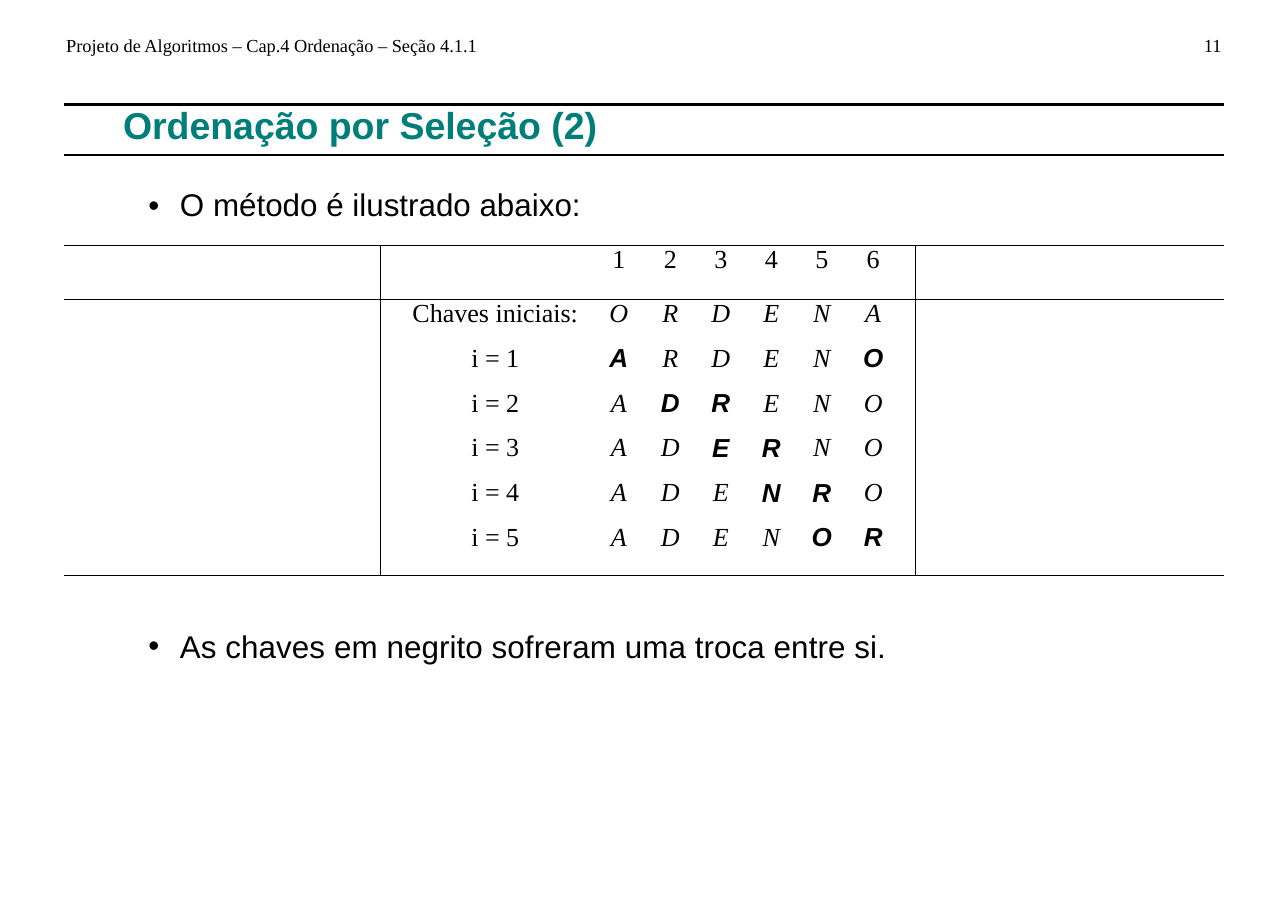
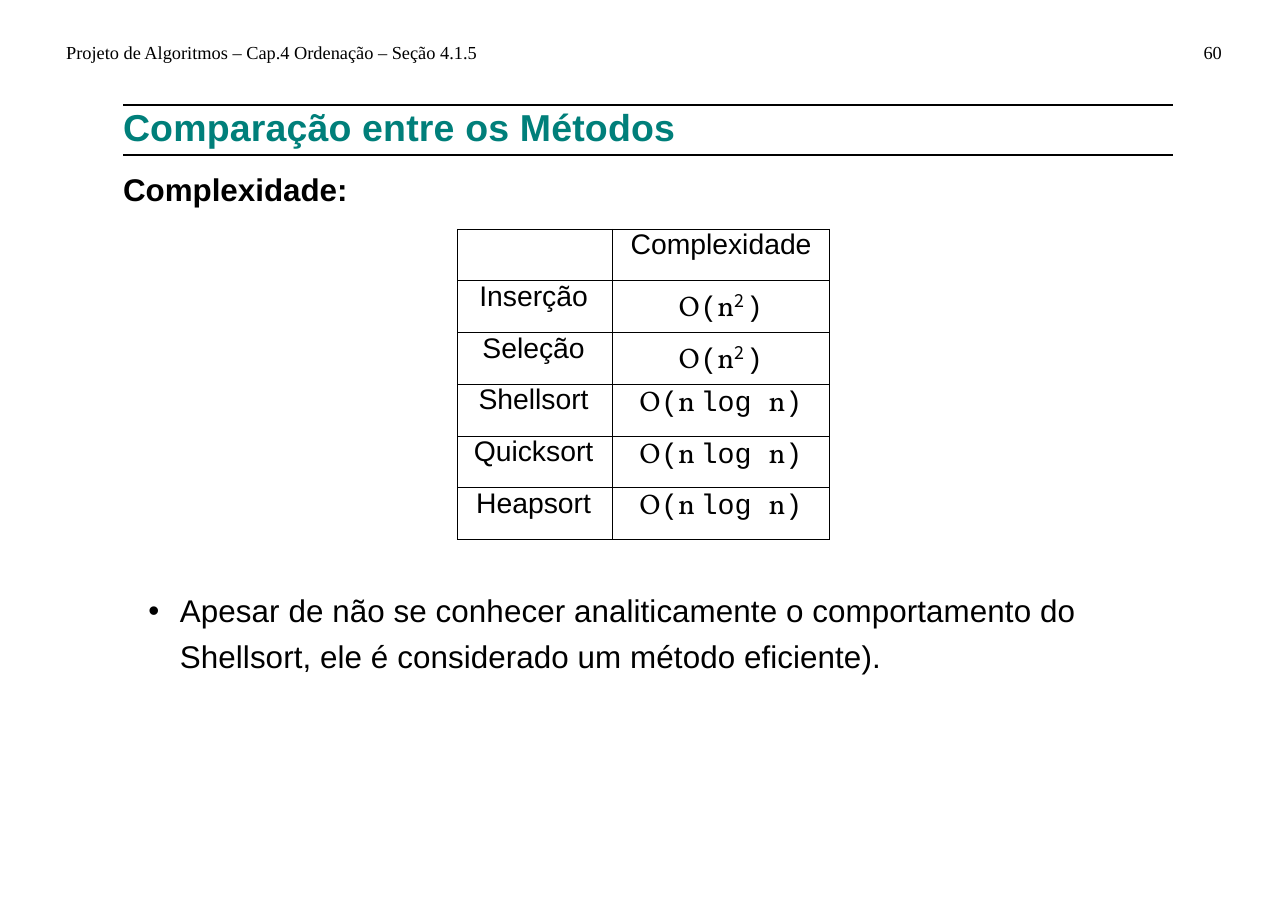
"""Builds two lecture slides on sorting: a selection sort trace and a complexity table."""
from dataclasses import dataclass, replace

from lxml import etree
from pptx import Presentation
from pptx.dml.color import RGBColor
from pptx.enum import shapes, text
from pptx.oxml import ns
from pptx.util import Pt

CENTER = text.PP_ALIGN.CENTER
LEFT = text.PP_ALIGN.LEFT
RIGHT = text.PP_ALIGN.RIGHT


@dataclass(frozen=True)
class Style:
    """Character format of one run."""

    font: str
    size: float
    color: str = "000000"
    bold: bool = False
    italic: bool = False
    baseline: int = 0
    tracking: float = 0


class Theme:
    """Colours, type styles and measures that the slides share."""

    width, height = 841.68, 594.72
    line_color = "000000"
    thick, thin = 1.73, 0.69
    table_left = 41.8
    title_left, title_right = 80.4, 766.5
    rule_tops = (68.6, 101.2)
    bullet_left, bullet_indent = 97, 20.6
    header = Style("Times New Roman", 12)
    title = Style("Arial", 24.5, "007F7A", bold=True)
    spaced_title = replace(title, tracking=0.15)
    body = Style("Arial", 20.5)
    spaced_body = replace(body, tracking=0.06)
    subtitle = replace(body, bold=True)
    label = Style("Times New Roman", 17)
    key = replace(label, italic=True)
    swapped_key = Style("Arial", 17, bold=True, italic=True)
    cell = Style("Arial", 18.5)
    order = Style("Vollkorn", 18.5, tracking=0.5)
    symbol = Style("Vollkorn", 18.5)
    code = Style("Courier New", 18.5)
    exponent = Style("Noto Sans CJK TC", 20.2, baseline=29000, tracking=1.3)


def header_text(section):
    """Return the running header for a section."""
    return f"Projeto de Algoritmos – Cap.4 Ordenação – Seção {section}"


def format_run(run, style):
    """Apply a style to a run."""
    font = run.font
    font.name, font.size = style.font, Pt(style.size)
    font.bold, font.italic = style.bold, style.italic
    font.color.rgb = RGBColor.from_string(style.color)
    properties = run._r.get_or_add_rPr()
    if style.baseline:
        properties.set("baseline", str(style.baseline))
    if style.tracking:
        properties.set("spc", str(round(style.tracking * 100)))


def write(paragraph, parts, align=LEFT):
    """Fill a paragraph with (text, style) parts."""
    paragraph.alignment = align
    for content, style in parts:
        run = paragraph.add_run()
        run.text = content
        format_run(run, style)


def add_text(slide, left, top, width, content, style, align=LEFT):
    """Add a one-paragraph text box without insets and return its paragraph."""
    box = slide.shapes.add_textbox(Pt(left), Pt(top), Pt(width), Pt(style.size * 1.15))
    frame = box.text_frame
    frame.word_wrap = True
    frame.margin_left = frame.margin_right = frame.margin_top = frame.margin_bottom = 0
    write(frame.paragraphs[0], [(content, style)], align)
    return frame.paragraphs[0]


def make_bullet(paragraph, line_spacing=1.0):
    """Give a paragraph a bullet with a hanging indent."""
    paragraph.line_spacing = line_spacing
    properties = paragraph._p.get_or_add_pPr()
    properties.set("marL", str(Pt(Theme.bullet_indent)))
    properties.set("indent", str(-Pt(Theme.bullet_indent)))
    etree.SubElement(properties, ns.qn("a:buFont")).set("typeface", "Arial")
    etree.SubElement(properties, ns.qn("a:buChar")).set("char", "•")


def add_bullet(slide, top, content, line_spacing=1.0):
    """Add a text box with one bulleted paragraph."""
    paragraph = add_text(slide, Theme.bullet_left, top, 630, content, Theme.spaced_body)
    make_bullet(paragraph, line_spacing)


def add_line(slide, start, end, width):
    """Add a straight line between two points."""
    line = slide.shapes.add_connector(
        shapes.MSO_CONNECTOR.STRAIGHT, *(Pt(value) for value in (*start, *end)))
    line.line.color.rgb = RGBColor.from_string(Theme.line_color)
    line.line.width = Pt(width)
    etree.SubElement(line._element.spPr, ns.qn("a:effectLst"))


def set_border(cell, side, width):
    """Draw one side (L, R, T or B) of a cell, or clear it when width is None."""
    line = etree.SubElement(cell._tc.get_or_add_tcPr(), ns.qn(f"a:ln{side}"))
    if width is None:
        etree.SubElement(line, ns.qn("a:noFill"))
    else:
        line.set("w", str(Pt(width)))
        fill = etree.SubElement(line, ns.qn("a:solidFill"))
        etree.SubElement(fill, ns.qn("a:srgbClr")).set("val", Theme.line_color)


def add_table(slide, left, top, widths, heights, rows, vertical_lines, horizontal_lines):
    """Add a centred table of part lists, with line widths keyed by grid line."""
    frame = slide.shapes.add_table(
        len(heights), len(widths), Pt(left), Pt(top), Pt(sum(widths)), Pt(sum(heights)))
    table = frame.table
    table.first_row = table.horz_banding = False
    for column, width in zip(table.columns, widths):
        column.width = Pt(width)
    for row, height in zip(table.rows, heights):
        row.height = Pt(height)
    for y, row in enumerate(rows):
        for x, parts in enumerate(row):
            cell = table.cell(y, x)
            cell.margin_left = cell.margin_right = cell.margin_top = cell.margin_bottom = 0
            set_border(cell, "L", vertical_lines.get(x))
            set_border(cell, "R", vertical_lines.get(x + 1))
            set_border(cell, "T", horizontal_lines.get(y))
            set_border(cell, "B", horizontal_lines.get(y + 1))
            cell.fill.background()
            write(cell.text_frame.paragraphs[0], parts, CENTER)
    return table


def trace_row(label, keys, swapped=()):
    """Return the cells of one sorting step, with swapped positions in bold."""
    cells = [[(key, Theme.swapped_key if position in swapped else Theme.key)]
             for position, key in enumerate(keys, 1)]
    return [[(label, Theme.label)], *cells]


def add_trace_slide(presentation):
    """Add the slide that traces selection sort in one full-width table."""
    slide = presentation.slides.add_slide(presentation.slide_layouts[6])
    gaps = [[]] * 5
    rows = [
        [[(header_text("4.1.1"), Theme.header)], *gaps, [("11", Theme.header)]],
        [[("Ordenação por Seleção (2)", Theme.title)], *gaps, []],
        [[("O método é ilustrado abaixo:", Theme.body)], *gaps, []],
        [[]] + [[(str(position), Theme.label)] for position in range(1, 7)],
        trace_row("Chaves iniciais:", "ORDENA"),
        trace_row("i = 1", "ARDENO", (1, 6)),
        trace_row("i = 2", "ADRENO", (2, 3)),
        trace_row("i = 3", "ADERNO", (3, 4)),
        trace_row("i = 4", "ADENRO", (4, 5)),
        trace_row("i = 5", "ADENOR", (5, 6)),
    ]
    top = 23.8
    widths = [355, 24.8] + [33] * 4 + [246.1]
    heights = [44.5, 32.9, 59.2, 35.2] + [29.3] * 5 + [34]
    lines = {1: Theme.thick, 2: Theme.thick, 3: Theme.thin, 4: Theme.thin, 10: Theme.thin}
    table = add_table(slide, Theme.table_left, top, widths, heights, rows, {}, lines)

    header, title, bullet = (table.cell(y, 0) for y in range(3))
    for cell, indent in ((header, 1.4), (title, Theme.title_left - Theme.table_left),
                         (bullet, Theme.bullet_left - Theme.table_left)):
        cell.margin_left = Pt(indent)
        cell.text_frame.paragraphs[0].alignment = LEFT
    title.text_frame.paragraphs[0].line_spacing = Pt(27.9)
    bullet.margin_top = Pt(22)
    make_bullet(bullet.text_frame.paragraphs[0])
    number = table.cell(0, 6)
    number.margin_right = Pt(1.4)
    number.text_frame.paragraphs[0].alignment = RIGHT

    for y in range(3, len(rows)):
        table.cell(y, 0).margin_left = Pt(208.8)
        table.cell(y, 1).margin_right = Pt(9.6)
        table.cell(y, 6).margin_right = Pt(212)
    grid_top, grid_bottom = top + sum(heights[:3]), top + sum(heights)
    for x in (248.9, 598.3):
        add_line(slide, (x, grid_bottom), (x, grid_top), Theme.thin)
    add_bullet(slide, 409.7, "As chaves em negrito sofreram uma troca entre si.")


def add_comparison_slide(presentation):
    """Add the slide that compares the complexity of the methods."""
    slide = presentation.slides.add_slide(presentation.slide_layouts[6])
    add_text(slide, 43.2, 26.6, 300, header_text("4.1.5"), Theme.header)
    add_text(slide, 758.5, 26.6, 40, "60", Theme.header, RIGHT)
    for y in Theme.rule_tops:
        add_line(slide, (Theme.title_left, y), (Theme.title_right, y), Theme.thick)
    add_text(slide, Theme.title_left, 67.8, 680, "Comparação entre os Métodos",
             Theme.spaced_title)
    add_text(slide, Theme.title_left, 111.3, 400, "Complexidade:", Theme.subtitle)
    opening = [("O", Theme.order), ("(", Theme.code)]
    closing = [(")", Theme.code)]
    quadratic = [*opening, ("n", Theme.symbol), ("2", Theme.exponent), *closing]
    log_linear = [*opening, ("n ", Theme.symbol), ("log ", Theme.code),
                  ("n", Theme.symbol), *closing]
    methods = {"Inserção": quadratic, "Seleção": quadratic, "Shellsort": log_linear,
               "Quicksort": log_linear, "Heapsort": log_linear}
    rows = [[[], [("Complexidade", Theme.cell)]]]
    rows += [[[(method, Theme.cell)], order] for method, order in methods.items()]
    table = add_table(slide, 299, 149.8, [101.3, 141.8], [33.8] * len(rows), rows,
                      dict.fromkeys(range(3), Theme.thin),
                      dict.fromkeys(range(len(rows) + 1), Theme.thin))
    for y in range(1, len(rows)):
        table.cell(y, 0).margin_right = Pt(2)
    add_bullet(slide, 381.7, "Apesar de não se conhecer analiticamente o comportamento do "
               "Shellsort, ele é considerado um método eficiente).", 1.2)


def main():
    """Build and save the presentation."""
    presentation = Presentation()
    presentation.slide_width = Pt(Theme.width)
    presentation.slide_height = Pt(Theme.height)
    add_trace_slide(presentation)
    add_comparison_slide(presentation)
    presentation.save("out.pptx")


if __name__ == "__main__":
    main()
